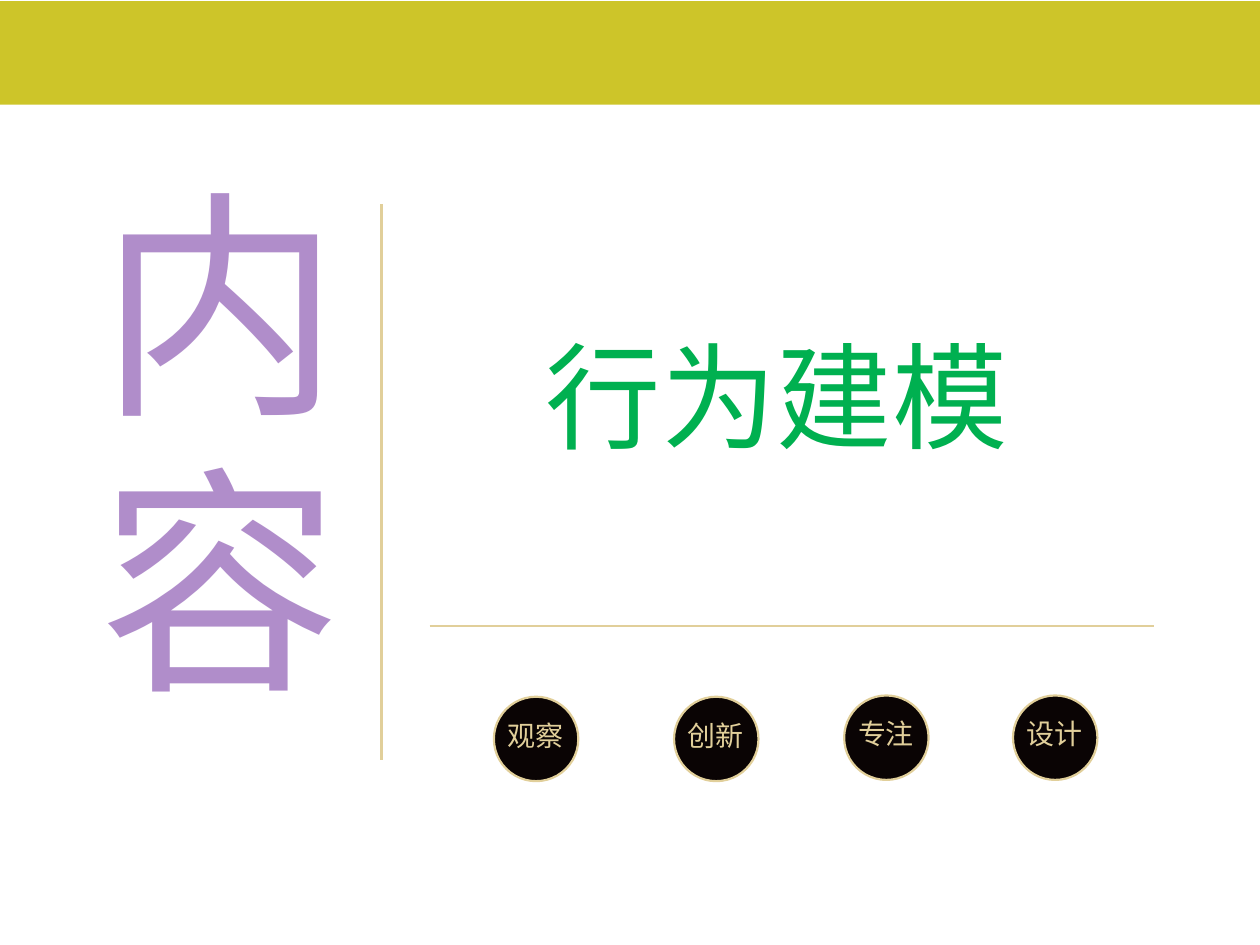
from lxml import etree
from pptx import Presentation
from pptx.dml.color import RGBColor
from pptx.enum.shapes import MSO_CONNECTOR as CONN, MSO_SHAPE as SHAPE
from pptx.oxml.ns import qn
from pptx.util import Inches, Pt

OLIVE = RGBColor(0xCD, 0xC5, 0x29)
PURPLE = RGBColor(0x70, 0x30, 0xA0)
GREEN = RGBColor(0x00, 0xB0, 0x50)
GOLD = RGBColor(0xE1, 0xCF, 0x9A)
BLACK = RGBColor(0x0A, 0x04, 0x04)
FONT = "Noto Sans CJK SC"

prs = Presentation()
prs.slide_width, prs.slide_height = Inches(10), Inches(7.5)
s = prs.slides.add_slide(prs.slide_layouts[6])


def add_text(shapes, text, box, size, color, wrap=False, alpha=None):
    """Add a one-line text box; alpha is the opacity in percent."""
    tf = shapes.add_textbox(*map(Inches, box)).text_frame
    margins = {"margin_left": 0.07, "margin_right": 0.07,
               "margin_top": 0.04, "margin_bottom": 0.04}
    for name, value in margins.items():
        setattr(tf, name, Inches(value))
    tf.word_wrap = wrap
    p = tf.paragraphs[0]
    p.line_spacing = 0.9
    r = p.add_run()
    r.text = text
    for name, value in {"name": FONT, "size": Pt(size)}.items():
        setattr(r.font, name, value)
    r.font.color.rgb = color
    rPr = r.font._element
    if alpha:
        clr = rPr.find(".//" + qn("a:srgbClr"))
        etree.SubElement(clr, qn("a:alpha")).set("val", str(alpha * 1000))
    ea = etree.Element(qn("a:ea"), typeface=FONT)
    rPr.find(qn("a:latin")).addnext(ea)


def add_filled(shapes, kind, box, color):
    sp = shapes.add_shape(kind, *map(Inches, box))
    sp.shadow.inherit = False
    sp.fill.solid()
    sp.fill.fore_color.rgb = color
    sp.line.fill.background()
    return sp


# Top band
add_filled(s.shapes, SHAPE.RECTANGLE, (0, 0.01, 10, 0.82), OLIVE)

# Stacked heading characters and the topic
for row, char in enumerate("内容"):
    add_text(s.shapes, char, (0.72, 1.45 + row * 2.19, 2.09, 2.4), 138,
             PURPLE, alpha=55)
add_text(s.shapes, "行为建模", (4.26, 2.66, 3.85, 1.19), 66, GREEN)

# Keyword badges
badges = [("观察", 3.92, 5.53), ("创新", 5.35, 5.53),
          ("专注", 6.70, 5.52), ("设计", 8.04, 5.52)]
for word, x, y in badges:
    group = s.shapes.add_group_shape()
    disc = add_filled(group.shapes, SHAPE.OVAL, (x, y, 0.67, 0.67), BLACK)
    disc.line.color.rgb = GOLD
    disc.line.width = Pt(1.25)
    add_text(group.shapes, word, (x + 0.04, y + 0.16, 0.6, 0.35), 16, GOLD,
             wrap=True)

# Dividers
for ends in [(3.41, 4.97, 9.16, 4.97), (3.03, 1.62, 3.03, 6.03)]:
    line = s.shapes.add_connector(CONN.STRAIGHT, *map(Inches, ends))
    line.line.color.rgb = GOLD
    line.line.width = Pt(1.5)
    etree.SubElement(line._element.spPr, qn("a:effectLst"))

prs.save("out.pptx")
